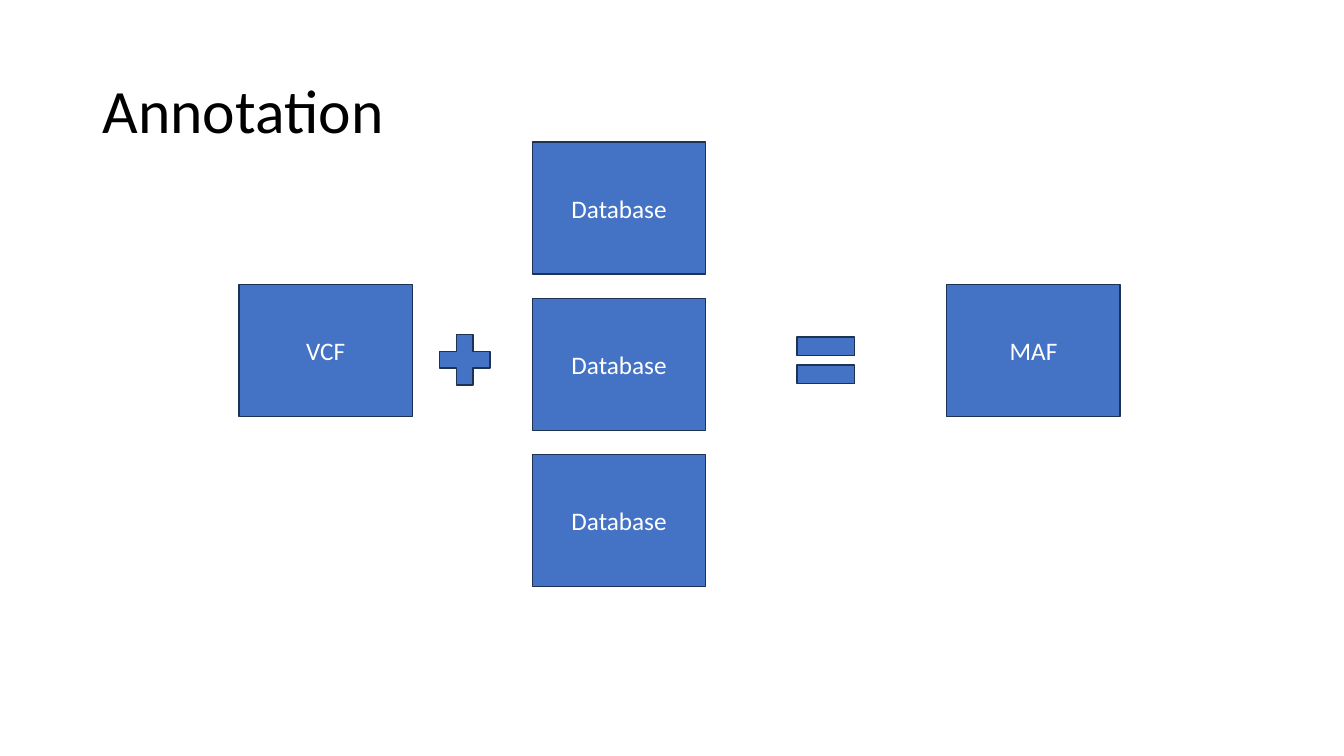
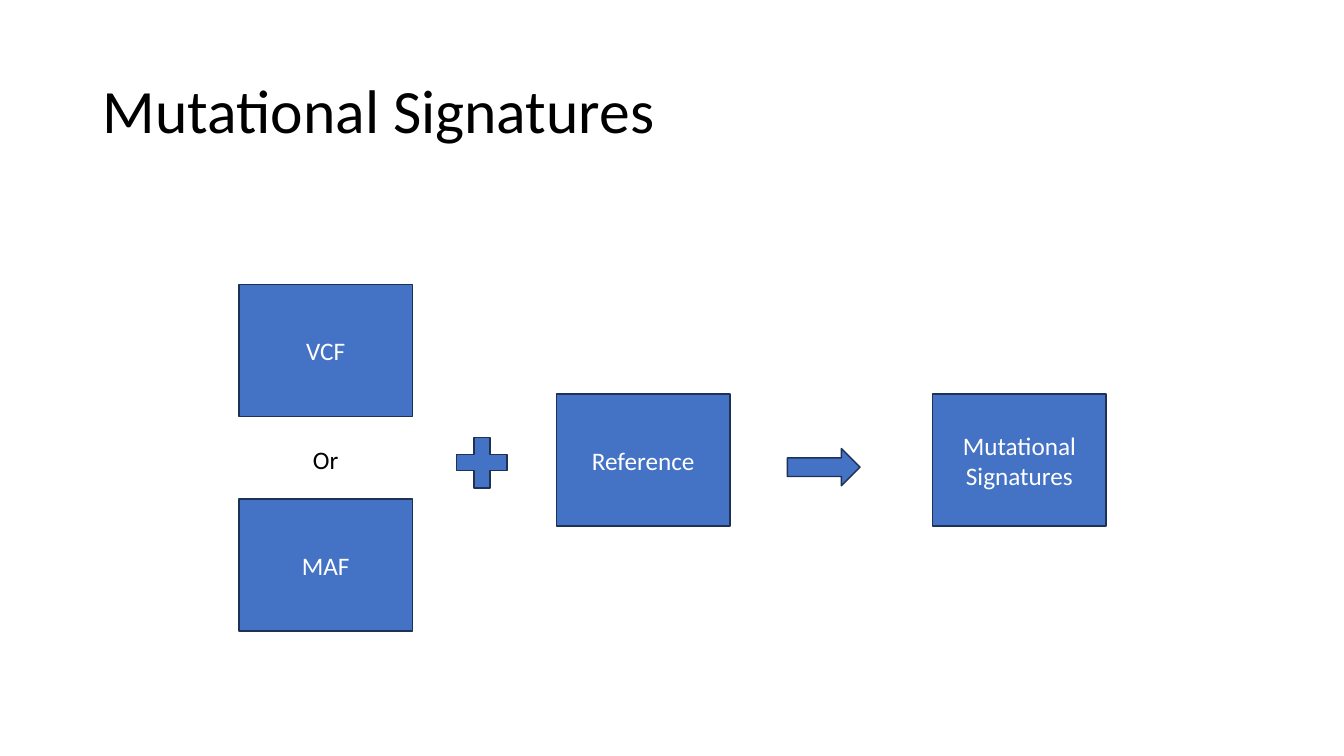
from collections import namedtuple

from pptx import Presentation
from pptx.dml.color import RGBColor
from pptx.enum.shapes import MSO_SHAPE
from pptx.enum.text import MSO_ANCHOR, MSO_AUTO_SIZE, PP_ALIGN
from pptx.util import Inches, Pt

Box = namedtuple("Box", "left top width height")

COLORS = {"fill": "4472C4", "line": "1E3256", "light": "FFFFFF", "dark": "000000"}
SLIDE_WIDTH, SLIDE_HEIGHT = 13.33, 7.5
CARD_WIDTH, CARD_HEIGHT = 1.72, 1.31
TITLE_BOX = Box(0.92, 0.4, 11.5, 1.45)
ANNOTATION_BOX = Box(2.37, 1.41, 8.74, 4.41)
SIGNATURES_BOX = Box(2.37, 2.82, 8.6, 3.44)
TITLE_FONT = {"name": "Calibri", "size": Pt(44)}
BODY_FONT = {"name": "Calibri", "size": Pt(18)}
TITLE_PARAGRAPH = {"alignment": PP_ALIGN.LEFT, "line_spacing": 0.9}
CENTERED = {"alignment": PP_ALIGN.CENTER}


def color(name):
    """Return the palette colour with this name."""
    return RGBColor.from_string(COLORS[name])


def assign(target, values):
    """Set each named format value on the target."""
    for name, value in values.items():
        setattr(target, name, value)


def write(frame, text, font, paragraph, tone):
    """Write one paragraph, vertically centred, into a text frame."""
    frame.vertical_anchor = MSO_ANCHOR.MIDDLE
    para = frame.paragraphs[0]
    assign(para, paragraph)
    span = para.add_run()
    span.text = text
    assign(span.font, font)
    span.font.color.rgb = color(tone)


def add_text(page, box, text, font, paragraph, wrap=True):
    """Add dark text in a box."""
    frame = page.shapes.add_textbox(*map(Inches, box)).text_frame
    frame.word_wrap = wrap
    frame.auto_size = MSO_AUTO_SIZE.NONE if wrap else MSO_AUTO_SIZE.SHAPE_TO_FIT_TEXT
    write(frame, text, font, paragraph, "dark")


def add_figure(page, kind, box):
    """Add a filled and outlined preset shape."""
    shape = page.shapes.add_shape(kind, *map(Inches, box))
    shape.shadow.inherit = False
    shape.fill.solid()
    shape.fill.fore_color.rgb = color("fill")
    shape.line.color.rgb = color("line")
    shape.line.width = Pt(1)
    return shape


def add_card(page, text, left, top):
    """Add a labelled card at its top left corner."""
    box = Box(left, top, CARD_WIDTH, CARD_HEIGHT)
    card = add_figure(page, MSO_SHAPE.RECTANGLE, box)
    write(card.text_frame, text, BODY_FONT, CENTERED, "light")


def add_plus(page, left, top):
    """Add a plus sign."""
    add_figure(page, MSO_SHAPE.MATH_PLUS, Box(left, top, 0.68, 0.68))


def add_page(deck, title):
    """Add a blank page with the shared title style."""
    page = deck.slides.add_slide(deck.slide_layouts[6])
    add_text(page, TITLE_BOX, title, TITLE_FONT, TITLE_PARAGRAPH)
    return page


def draw_annotation(page, box):
    """Draw a VCF and three databases giving a MAF."""
    file_top = box.top + 1.41
    result_left = box.left + box.width - CARD_WIDTH
    database_step = (box.height - CARD_HEIGHT) / 2
    add_card(page, "VCF", box.left, file_top)
    add_plus(page, box.left + 1.9, box.top + 1.82)
    for row in range(3):
        add_card(page, "Database", box.left + 2.91, box.top + row * database_step)
    equals_box = Box(box.left + 5.43, box.top + 1.77, 0.78, 0.79)
    add_figure(page, MSO_SHAPE.MATH_EQUAL, equals_box)
    add_card(page, "MAF", result_left, file_top)


def draw_signatures(page, box):
    """Draw a VCF or MAF and a reference leading to signatures."""
    middle_top = box.top + 1.09
    result_left = box.left + box.width - CARD_WIDTH
    add_card(page, "VCF", box.left, box.top)
    or_box = Box(box.left + 0.63, box.top + 1.54, 0.46, 0.4)
    add_text(page, or_box, "Or", BODY_FONT, CENTERED, wrap=False)
    add_card(page, "MAF", box.left, box.top + box.height - CARD_HEIGHT)
    add_plus(page, box.left + 2.07, box.top + 1.43)
    add_card(page, "Reference", box.left + 3.15, middle_top)
    arrow_box = Box(box.left + 5.44, box.top + 1.63, 0.72, 0.37)
    add_figure(page, MSO_SHAPE.RIGHT_ARROW, arrow_box)
    add_card(page, "Mutational Signatures", result_left, middle_top)


def build():
    """Build and save the deck."""
    deck = Presentation()
    deck.slide_width, deck.slide_height = Inches(SLIDE_WIDTH), Inches(SLIDE_HEIGHT)
    draw_annotation(add_page(deck, "Annotation"), ANNOTATION_BOX)
    draw_signatures(add_page(deck, "Mutational Signatures"), SIGNATURES_BOX)
    deck.save("out.pptx")


build()
